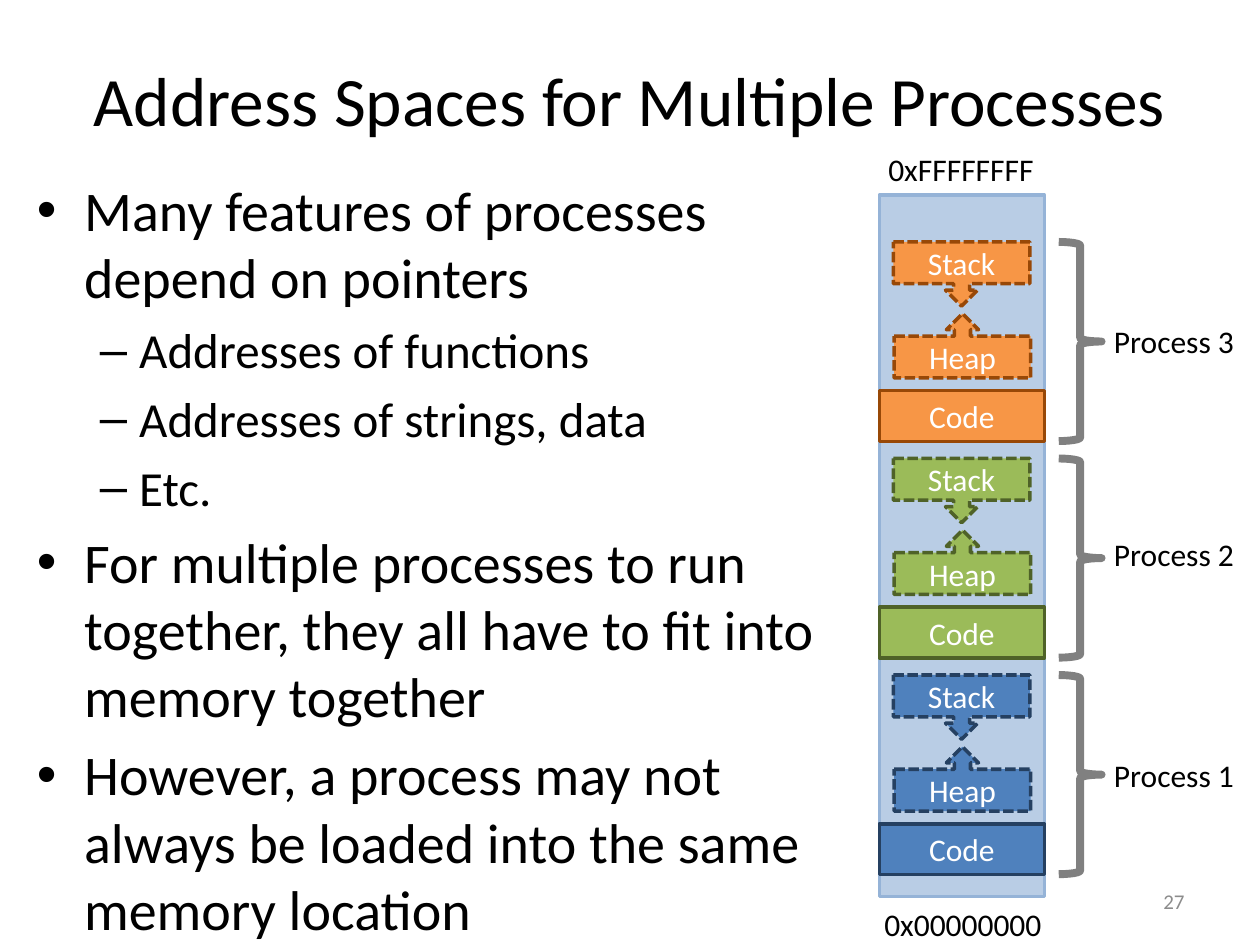
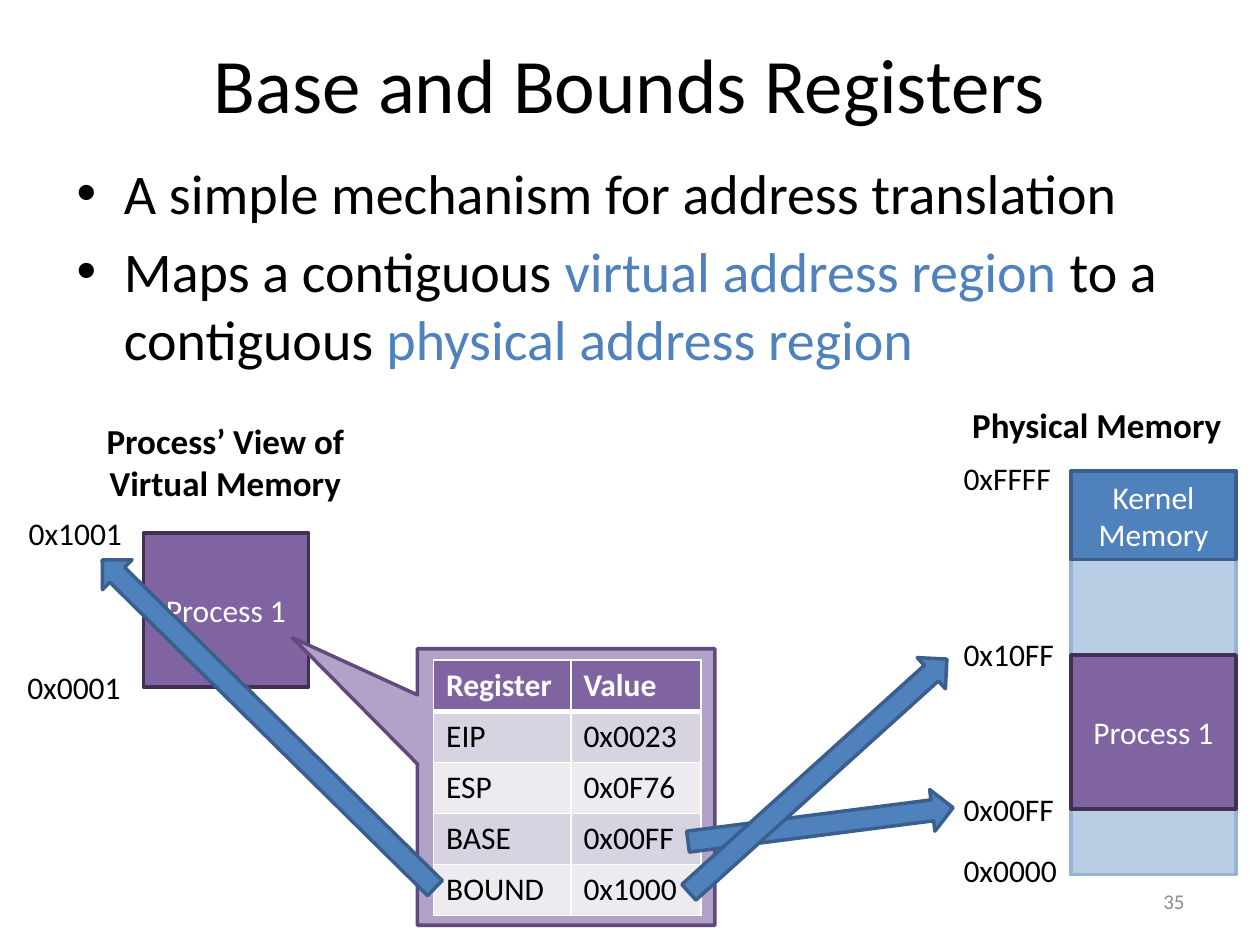
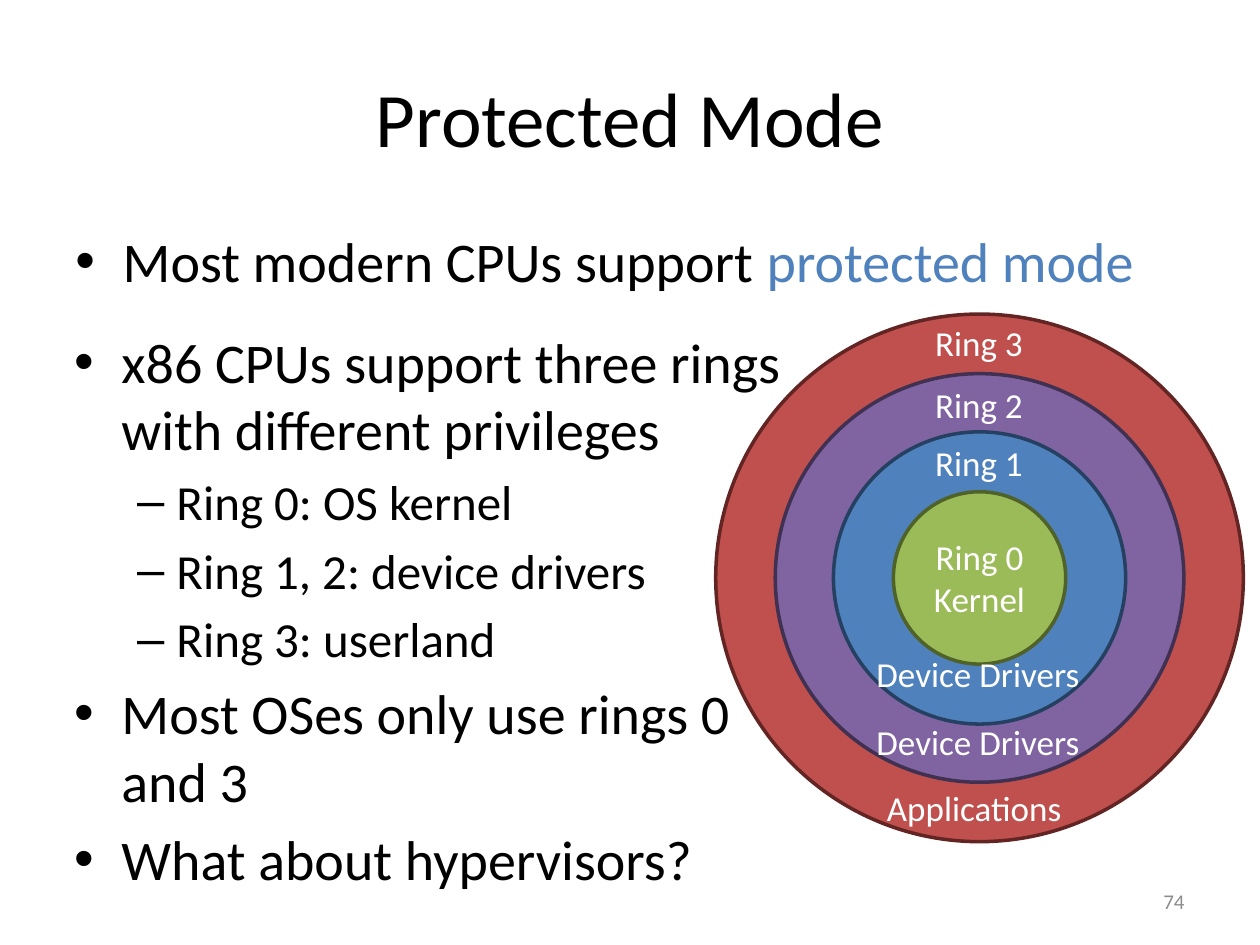
from dataclasses import dataclass
from typing import NamedTuple, Optional

from lxml.etree import SubElement
from pptx import Presentation
from pptx.dml.color import RGBColor
from pptx.enum.dml import MSO_LINE
from pptx.enum.shapes import MSO_SHAPE
from pptx.enum.text import MSO_ANCHOR, MSO_AUTO_SIZE, PP_ALIGN
from pptx.oxml.ns import qn
from pptx.util import Pt

FONT = "Calibri"
BLACK = RGBColor(0x00, 0x00, 0x00)
WHITE = RGBColor(0xFF, 0xFF, 0xFF)
GRAY = RGBColor(0x8C, 0x8C, 0x8C)
BRACE_GRAY = RGBColor(0x80, 0x80, 0x80)
BLUE = RGBColor(0x4F, 0x81, 0xBD)
PURPLE = RGBColor(0x80, 0x64, 0xA2)
ROW_DARK = RGBColor(0xD8, 0xD3, 0xE0)
ROW_LIGHT = RGBColor(0xED, 0xEA, 0xF0)


class Box(NamedTuple):
    left: float
    top: float
    width: float
    height: float


class Look(NamedTuple):
    fill: Optional[RGBColor]
    line: RGBColor
    weight: float = 2


class Run(NamedTuple):
    text: str
    color: RGBColor = BLACK


@dataclass
class Bullet:
    runs: list[Run]
    level: int = 0


class BulletStyle(NamedTuple):
    char: str
    size: float
    margin: float
    hang: float


@dataclass
class Process:
    name: str
    top: float
    label_top: float
    look: Look


@dataclass
class Ring:
    diameter: float
    look: Look
    name: str
    name_top: float
    use: str
    use_top: float
    use_width: float


@dataclass
class Address:
    text: str
    left: float
    top: float


@dataclass
class Arrow:
    box: Box
    rotation: float


BULLET_STYLES = [BulletStyle("•", 32, 27, 27), BulletStyle("–", 28, 58.5, 22.5)]

MEMORY = Look(RGBColor(0xB9, 0xCD, 0xE5), RGBColor(0x95, 0xB3, 0xD7))
ORANGE_LOOK = Look(RGBColor(0xF7, 0x96, 0x46), RGBColor(0x98, 0x48, 0x07))
GREEN_LOOK = Look(RGBColor(0x9B, 0xBB, 0x59), RGBColor(0x4F, 0x62, 0x28))
NAVY_LOOK = Look(BLUE, RGBColor(0x25, 0x40, 0x61))
BLUE_LOOK = Look(BLUE, RGBColor(0x3A, 0x5F, 0x8C))
PURPLE_LOOK = Look(PURPLE, RGBColor(0x40, 0x31, 0x52))
RED_LOOK = Look(RGBColor(0xC0, 0x50, 0x4D), RGBColor(0x63, 0x25, 0x23))
CALLOUT_LOOK = Look(RGBColor(0xB3, 0xA2, 0xC7), RGBColor(0x60, 0x4A, 0x7B))
BRACE_LOOK = Look(None, BRACE_GRAY, 4.5)

COLUMN_WIDTH = 94.3
LABEL_HEIGHT = 29
ADDRESS_WIDTH = 70


def emu(box: Box) -> list[Pt]:
    return [Pt(length) for length in box]


def add_run(p, text: str, size: float, color: RGBColor, bold: bool = False) -> None:
    r = p.add_run()
    r.text = text
    r.font.name = FONT
    r.font.size = Pt(size)
    r.font.bold = bold
    r.font.color.rgb = color


def write_lines(tf, lines: list[str], size: float, color: RGBColor,
                align=PP_ALIGN.LEFT, bold: bool = False) -> None:
    for i, line in enumerate(lines):
        p = tf.add_paragraph() if i else tf.paragraphs[0]
        p.alignment = align
        add_run(p, line, size, color, bold)


def add_shape(shapes, kind, box: Box, look: Look, lines: Optional[list[str]] = None,
              size: float = 18, dashed: bool = False, rotation: float = 0):
    sp = shapes.add_shape(kind, *emu(box))
    sp.shadow.inherit = False
    sp.rotation = rotation
    if look.fill is None:
        sp.fill.background()
    else:
        sp.fill.solid()
        sp.fill.fore_color.rgb = look.fill
    sp.line.color.rgb = look.line
    sp.line.width = Pt(look.weight)
    if dashed:
        sp.line.dash_style = MSO_LINE.SQUARE_DOT
    if lines:
        tf = sp.text_frame
        tf.word_wrap = True
        tf.vertical_anchor = MSO_ANCHOR.MIDDLE
        write_lines(tf, lines, size, WHITE, PP_ALIGN.CENTER)
    return sp


def add_label(shapes, box: Box, lines: list[str], size: float = 18,
              color: RGBColor = BLACK, align=PP_ALIGN.LEFT, bold: bool = False) -> None:
    """Add an unwrapped label that grows with its text."""
    tf = shapes.add_textbox(*emu(box)).text_frame
    tf.word_wrap = False
    tf.auto_size = MSO_AUTO_SIZE.SHAPE_TO_FIT_TEXT
    write_lines(tf, lines, size, color, align, bold)


def add_framed_line(slide, box: Box, text: str, size: float, color: RGBColor, align) -> None:
    """Add wrapped text in the vertical middle of a fixed box."""
    tf = slide.shapes.add_textbox(*emu(box)).text_frame
    tf.word_wrap = True
    tf.vertical_anchor = MSO_ANCHOR.MIDDLE
    write_lines(tf, [text], size, color, align)


def add_slide(prs, title: str, title_top: float, number: int, title_size: float = 44):
    slide = prs.slides.add_slide(prs.slide_layouts[6])
    add_framed_line(slide, Box(36, title_top, 648, 90), title, title_size, BLACK,
                    PP_ALIGN.CENTER)
    add_framed_line(slide, Box(516, 500.5, 168, 28.75), str(number), 12, GRAY,
                    PP_ALIGN.RIGHT)
    return slide


def add_bullets(slide, box: Box, bullets: list[Bullet]) -> None:
    tf = slide.shapes.add_textbox(*emu(box)).text_frame
    tf.word_wrap = True
    for i, bullet in enumerate(bullets):
        style = BULLET_STYLES[bullet.level]
        p = tf.add_paragraph() if i else tf.paragraphs[0]
        p.level = bullet.level
        pPr = p._p.get_or_add_pPr()
        pPr.set("marL", str(Pt(style.margin)))
        pPr.set("indent", str(-Pt(style.hang)))
        SubElement(pPr, qn("a:buFont")).set("typeface", "Arial")
        SubElement(pPr, qn("a:buChar")).set("char", style.char)
        p.space_before = Pt(style.size * 0.2 if i else 0)
        for run in bullet.runs:
            add_run(p, run.text, style.size, run.color)


def add_process(slide, process: Process) -> None:
    shapes = slide.shapes.add_group_shape().shapes
    look, top = process.look, process.top
    add_shape(shapes, MSO_SHAPE.RECTANGLE, Box(502.5, top + 85, COLUMN_WIDTH, 29),
              look, ["Code"])
    add_shape(shapes, MSO_SHAPE.UP_ARROW_CALLOUT, Box(511, top + 41, 78, 36.75),
              look, ["Heap"], dashed=True)
    add_shape(shapes, MSO_SHAPE.DOWN_ARROW_CALLOUT, Box(510.5, top, 78, 36.75),
              look, ["Stack"], dashed=True)
    add_shape(shapes, MSO_SHAPE.LEFT_BRACE, Box(605, top, 24.5, 113.75),
              BRACE_LOOK, rotation=180)
    add_label(shapes, Box(629.5, process.label_top, 83.5, LABEL_HEIGHT), [process.name])


def set_borders(cell, widths: dict[str, float]) -> None:
    tcPr = cell._tc.get_or_add_tcPr()
    for side in "LRTB":
        ln = SubElement(tcPr, qn(f"a:ln{side}"), w=str(Pt(widths.get(side, 1))))
        fill = SubElement(ln, qn("a:solidFill"))
        SubElement(fill, qn("a:srgbClr"), val=str(WHITE))


def add_register_table(slide, box: Box, widths: list[float],
                       rows: list[tuple[str, str]]) -> None:
    table = slide.shapes.add_table(len(rows), len(widths), *emu(box)).table
    for column, width in zip(table.columns, widths):
        column.width = Pt(width)
    for i, row in enumerate(rows):
        table.rows[i].height = Pt(box.height / len(rows))
        header = i == 0
        fill = PURPLE if header else ROW_DARK if i % 2 else ROW_LIGHT
        for j, text in enumerate(row):
            cell = table.cell(i, j)
            set_borders(cell, {0: {"B": 3}, 1: {"T": 3}}.get(i, {}))
            cell.fill.solid()
            cell.fill.fore_color.rgb = fill
            write_lines(cell.text_frame, [text], 18, WHITE if header else BLACK,
                        bold=header)


def build_address_spaces(prs) -> None:
    slide = add_slide(prs, "Address Spaces for Multiple Processes", 11.5, 27, 39.6)
    add_bullets(slide, Box(14, 96.75, 482.5, 440.5), [
        Bullet([Run("Many features of processes depend on pointers")]),
        Bullet([Run("Addresses of functions")], 1),
        Bullet([Run("Addresses of strings, data")], 1),
        Bullet([Run("Etc.")], 1),
        Bullet([Run("For multiple processes to run together, they all have to fit "
                    "into memory together")]),
        Bullet([Run("However, a process may not always be loaded into the same "
                    "memory location")]),
    ])
    add_shape(slide.shapes, MSO_SHAPE.RECTANGLE, Box(502.5, 111.5, COLUMN_WIDTH, 401), MEMORY)
    add_label(slide.shapes, Box(500.5, 82, 98, LABEL_HEIGHT), ["0xFFFFFFFF"])
    add_label(slide.shapes, Box(498.25, 513.5, 105, LABEL_HEIGHT), ["0x00000000"])
    for process in (
        Process("Process 2", 262, 302.4, GREEN_LOOK),
        Process("Process 1", 385.75, 428.4, NAVY_LOOK),
        Process("Process 3", 138.25, 180.75, ORANGE_LOOK),
    ):
        add_process(slide, process)


def build_base_and_bounds(prs) -> None:
    slide = add_slide(prs, "Base and Bounds Registers", 2.25, 35)
    shapes = slide.shapes
    add_bullets(slide, Box(36.75, 87, 648, 136), [
        Bullet([Run("A simple mechanism for address translation")]),
        Bullet([Run("Maps a contiguous "), Run("virtual address region ", BLUE),
                Run("to a contiguous "), Run("physical address region", BLUE)]),
    ])

    for left, top, height, look, text in (
        (612, 269.25, 230.5, MEMORY, None),
        (612, 269.25, 50.5, BLUE_LOOK, "Kernel Memory"),
        (612, 374.25, 88, PURPLE_LOOK, "Process 1"),
        (82, 304.5, 88, PURPLE_LOOK, "Process 1"),
    ):
        add_shape(shapes, MSO_SHAPE.RECTANGLE, Box(left, top, COLUMN_WIDTH, height),
                  look, [text] if text else None)

    add_label(shapes, Box(548.5, 227, 158.5, 31.5), ["Physical Memory"], 20, bold=True)
    add_label(shapes, Box(53.25, 236, 151, 55.5), ["Process’ View of", "Virtual Memory"],
              20, align=PP_ALIGN.CENTER, bold=True)
    for address in (
        Address("0xFFFF", 543.5, 258.5),
        Address("0x10FF", 543.5, 359.5),
        Address("0x00FF", 543.5, 448),
        Address("0x0000", 543.5, 483),
        Address("0x1001", 9.25, 290),
        Address("0x0001", 8.5, 378.25),
    ):
        add_label(shapes, Box(address.left, address.top, ADDRESS_WIDTH, LABEL_HEIGHT),
                  [address.text])

    callout = add_shape(shapes, MSO_SHAPE.RECTANGULAR_CALLOUT,
                        Box(238.5, 370.75, 170, 158), CALLOUT_LOOK)
    callout.adjustments[0] = -0.92
    callout.adjustments[1] = -0.54
    add_register_table(slide, Box(247.75, 377.25, 152.75, 146), [78.5, 74.25], [
        ("Register", "Value"),
        ("EIP", "0x0023"),
        ("ESP", "0x0F76"),
        ("BASE", "0x00FF"),
        ("BOUND", "0x1000"),
    ])
    for arrow in (
        Arrow(Box(392.5, 459.25, 152.75, 24), 352.7),
        Arrow(Box(20, 401.75, 267, 24), 224.6),
        Arrow(Box(368, 431.25, 198.75, 24), 317.9),
    ):
        add_shape(shapes, MSO_SHAPE.RIGHT_ARROW, arrow.box, BLUE_LOOK,
                  rotation=arrow.rotation)


def build_protected_mode(prs) -> None:
    slide = add_slide(prs, "Protected Mode", 21.6, 74)
    shapes = slide.shapes
    center_x, center_y = 559.75, 330.25
    kernel_diameter = 98.5

    def circle(diameter: float) -> Box:
        return Box(center_x - diameter / 2, center_y - diameter / 2, diameter, diameter)

    def ring_label(text: str, top: float, width: float) -> None:
        add_label(shapes, Box(center_x - width / 2, top, width, 31.5), [text], 20, WHITE)

    rings = [
        Ring(301.5, RED_LOOK, "Ring 3", 180, "Applications", 445.75, 120),
        Ring(233.5, PURPLE_LOOK, "Ring 2", 215.5, "Device Drivers", 408.25, 132),
        Ring(167, NAVY_LOOK, "Ring 1", 249, "Device Drivers", 369.25, 132),
    ]
    for ring in rings:
        add_shape(shapes, MSO_SHAPE.OVAL, circle(ring.diameter), ring.look)
    add_shape(shapes, MSO_SHAPE.OVAL, circle(kernel_diameter), GREEN_LOOK,
              ["Ring 0", "Kernel"], 20)
    for ring in rings:
        ring_label(ring.name, ring.name_top, 65)
        ring_label(ring.use, ring.use_top, ring.use_width)

    add_bullets(slide, Box(36, 126, 648, 54.75), [
        Bullet([Run("Most modern CPUs support "), Run("protected mode", BLUE)]),
    ])
    add_bullets(slide, Box(35.25, 183.5, 438.5, 356.5), [
        Bullet([Run("x86 CPUs support three rings with different privileges")]),
        Bullet([Run("Ring 0: OS kernel")], 1),
        Bullet([Run("Ring 1, 2: device drivers")], 1),
        Bullet([Run("Ring 3: userland")], 1),
        Bullet([Run("Most OSes only use rings 0 and 3")]),
        Bullet([Run("What about hypervisors?")]),
    ])


def main() -> None:
    prs = Presentation()
    prs.slide_width, prs.slide_height = Pt(720), Pt(540)
    build_address_spaces(prs)
    build_base_and_bounds(prs)
    build_protected_mode(prs)
    prs.save("out.pptx")


if __name__ == "__main__":
    main()
